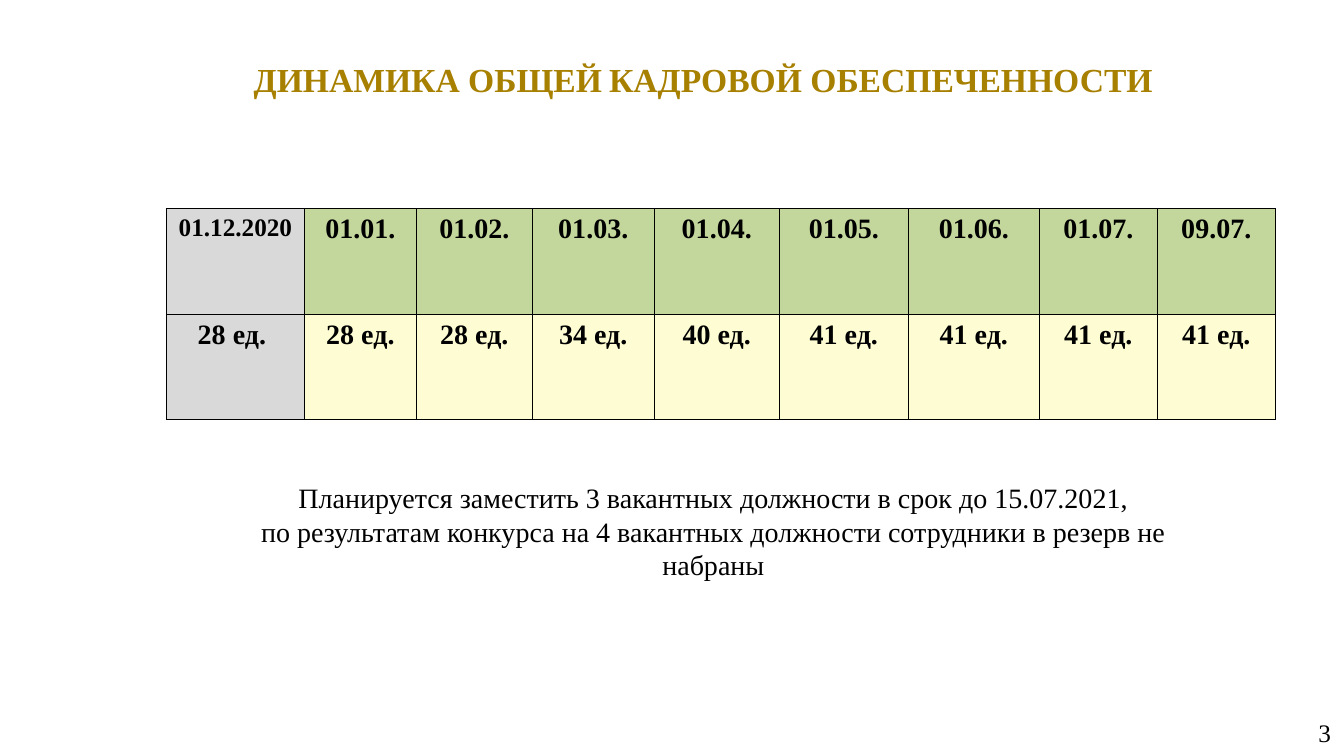
import pptx
import pptx.dml.color
import pptx.enum.text
import pptx.oxml
import pptx.oxml.ns
import pptx.util
from pptx.util import Inches

COLORS = {"gold": "A88000", "black": "000000", "gray": "D9D9D9",
          "green": "C3D69B", "cream": "FDFCD3"}
FONT = "Times New Roman"
ALIGN = pptx.enum.text.PP_ALIGN
ANCHOR = pptx.enum.text.MSO_ANCHOR

DATES = ["01.12.2020", "01.01.", "01.02.", "01.03.", "01.04.",
         "01.05.", "01.06.", "01.07.", "09.07."]
STAFF = ["28 ед. ", "28 ед.", "28 ед.", "34 ед.", "40 ед."] + ["41 ед."] * 4
COL_WIDTHS = [1.37, 1.11, 1.15, 1.21, 1.24, 1.28, 1.3, 1.17, 1.17]
ROW_HEIGHTS = [1.05, 1.04]


def rgb(name):
    """Return the palette colour with this name."""
    return pptx.dml.color.RGBColor.from_string(COLORS[name])


def write(p, text, size=20, color="black", bold=False, align=ALIGN.CENTER):
    """Add a formatted run of text to a paragraph."""
    p.alignment = align
    r = p.add_run()
    r.text = text
    r.font.name = FONT
    r.font.size = pptx.util.Pt(size)
    r.font.bold = bold
    r.font.color.rgb = rgb(color)


def add_box(slide, box, inset_x=0.13, inset_y=0.07, anchor=ANCHOR.TOP):
    """Add a wrapping text box and return its text frame."""
    tf = slide.shapes.add_textbox(*map(Inches, box)).text_frame
    tf.word_wrap = True
    tf.vertical_anchor = anchor
    tf.margin_left = tf.margin_right = Inches(inset_x)
    tf.margin_top = tf.margin_bottom = Inches(inset_y)
    return tf


def add_title(slide, box):
    """Place the heading, with a narrower space in its middle."""
    p = add_box(slide, box).paragraphs[0]
    for text, size in [("ДИНАМИКА ОБЩЕЙ", 24), (" ", 20),
                       ("КАДРОВОЙ ОБЕСПЕЧЕННОСТИ", 24)]:
        write(p, text, size=size, color="gold", bold=True)


def set_borders(cell):
    """Draw a thin black line on all four sides of a cell."""
    tc_pr = cell._tc.get_or_add_tcPr()
    for i, side in enumerate(["lnL", "lnR", "lnT", "lnB"]):
        tc_pr.insert(i, pptx.oxml.parse_xml(
            f'<a:{side} {pptx.oxml.ns.nsdecls("a")} w="{pptx.util.Pt(0.96)}">'
            f'<a:solidFill><a:srgbClr val="{COLORS["black"]}"/></a:solidFill>'
            f'</a:{side}>'))


def add_staff_table(slide, box):
    """Place the table of staff numbers by date."""
    table = slide.shapes.add_table(2, len(DATES), *map(Inches, box)).table
    for col, width in zip(table.columns, COL_WIDTHS):
        col.width = Inches(width)
    for row, height in zip(table.rows, ROW_HEIGHTS):
        row.height = Inches(height)
    for i, (values, fill) in enumerate([(DATES, "green"), (STAFF, "cream")]):
        for j, text in enumerate(values):
            cell = table.cell(i, j)
            cell.fill.solid()
            cell.fill.fore_color.rgb = rgb(fill if j else "gray")
            set_borders(cell)
            write(cell.text_frame.paragraphs[0], text, bold=True,
                  size=18 if text == DATES[0] else 20)


def add_plan(slide, box):
    """Place the two centred lines about vacancies."""
    tf = add_box(slide, box, inset_x=0.1, inset_y=0.05)
    write(tf.paragraphs[0],
          "Планируется заместить 3 вакантных должности в срок до 15.07.2021,")
    write(tf.add_paragraph(), "по результатам конкурса на 4 вакантных "
          "должности сотрудники в резерв не набраны")


def add_page_number(slide, box):
    """Place the page number at the right of its box."""
    tf = add_box(slide, box, anchor=ANCHOR.MIDDLE)
    write(tf.paragraphs[0], "3", size=18, align=ALIGN.RIGHT)


prs = pptx.Presentation()
prs.slide_width, prs.slide_height = Inches(13.33), Inches(7.5)
s = prs.slides.add_slide(prs.slide_layouts[6])
add_title(s, (1.65, 0.51, 10.65, 0.53))
add_staff_table(s, (1.65, 2.07, sum(COL_WIDTHS), sum(ROW_HEIGHTS)))
add_page_number(s, (10.22, 7.07, 3.11, 0.4))
add_plan(s, (1.95, 4.72, 10.25, 0.71))
prs.save("out.pptx")
